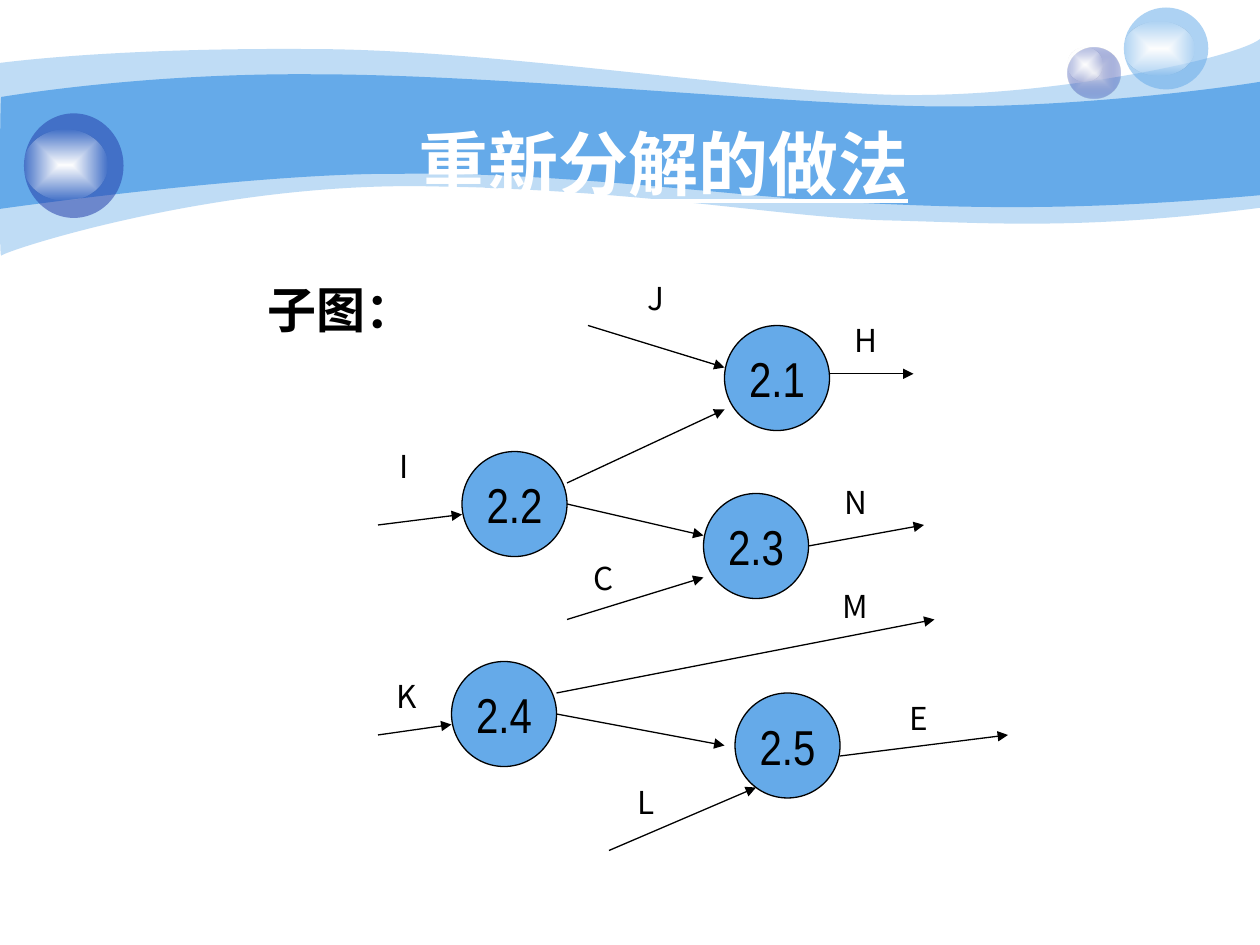
from lxml import etree
from pptx import Presentation
from pptx.dml.color import RGBColor
from pptx.enum import shapes, text
from pptx.oxml import parse_xml
from pptx.oxml.ns import qn
from pptx.util import Emu, Inches, Pt

COLORS = {"sky": "65AAE9", "navy": "233DA9", "mist": "E1E2ED", "white": "FFFFFF", "black": "000000"}
NS = 'xmlns:a="http://schemas.openxmlformats.org/drawingml/2006/main"'
CJK = "Noto Sans CJK SC"

prs = Presentation()
prs.slide_width, prs.slide_height = Inches(10), Inches(7.5)
unit = prs.slide_width / 120
s = prs.slides.add_slide(prs.slide_layouts[5])


def grid(*values):
    return [Emu(round(v * unit)) for v in values]


def write(sp, words, size, font, color="black", bold=None, underline=None):
    tf = sp.text_frame
    tf.margin_left = tf.margin_right = Inches(0.1)
    tf.margin_top = tf.margin_bottom = Inches(0.05)
    tf.text = words
    p = tf.paragraphs[0]
    p.alignment = text.PP_ALIGN.CENTER
    p.space_before = Pt(0)
    p.font.size, p.font.name = Pt(size), font
    p.font.bold, p.font.underline = bold, underline
    p.font.color.rgb = RGBColor.from_string(COLORS[color])
    etree.SubElement(p._p.pPr.find(qn("a:defRPr")), qn("a:ea"), typeface=CJK)


waves = [
    (41, (0, 50), [
        [(24, 47), (107, 38), (247, 39)],
        [(386, 39), (575, 70), (699, 75)],
        [(822, 80), (980, 47), (1000, 31)],
        [(1000, 165)],
        [(858, 183), (787, 177), (705, 175)],
        [(622, 173), (515, 151), (343, 148)],
        [(172, 144), (4, 199), (1, 203)],
        [(-1, 208), (0, 75), (0, 50)]]),
    (100, (1, 77), [
        [(2, 77), (110, 58), (248, 59)],
        [(386, 59), (595, 80), (718, 84)],
        [(841, 88), (976, 69), (1000, 65)],
        [(1000, 155)],
        [(853, 168), (765, 165), (682, 161)],
        [(599, 158), (447, 136), (317, 138)],
        [(203, 137), (-2, 166), (-1, 166)],
        [(0, 166), (0, 77), (1, 77)]]),
]
for alpha, start, segments in waves:
    builder = s.shapes.build_freeform(*start, scale=prs.slide_width / 1000)
    builder.add_line_segments([point for seg in segments for point in seg], close=True)
    sp = builder.convert_to_shape()
    steps = iter(list(sp._element.iter(qn("a:lnTo"))))
    for seg in segments:
        parts = [next(steps) for _ in seg]
        if len(seg) == 3:
            curve = etree.Element(qn("a:cubicBezTo"))
            parts[0].addprevious(curve)
            for part in parts:
                curve.append(part[0])
                part.getparent().remove(part)
    sp.shadow.inherit = False
    sp.line.fill.background()
    sp.fill.solid()
    sp.fill.fore_color.rgb = RGBColor.from_string(COLORS["sky"])
    if alpha < 100:
        tint = sp._element.spPr.find(qn("a:solidFill"))[0]
        etree.SubElement(tint, qn("a:alpha"), val=str(alpha * 1000))

bubbles = [
    (8.47, 0.38, 0.42, 0.4, [("mist", 100), ("navy", 31)]),
    (8.47, 0.38, 0.28, 0.27, [("white", 100), ("white", 0)]),
    (8.92, 0.06, 0.67, 0.65, [("sky", 53)]),
    (8.92, 0.17, 0.56, 0.43, [("white", 100), ("white", 0)]),
    (0.19, 0.9, 0.79, 0.83, [("navy", 53)]),
    (0.19, 1.03, 0.66, 0.56, [("white", 100), ("white", 0)]),
]
for *box, stops in bubbles:
    sp = s.shapes.add_shape(shapes.MSO_SHAPE.OVAL, *[Inches(v) for v in box])
    sp.shadow.inherit = False
    sp.line.fill.background()
    tints = [f'<a:srgbClr val="{COLORS[c]}"><a:alpha val="{a * 1000}"/></a:srgbClr>' for c, a in stops]
    if len(tints) == 1:
        fill = f"<a:solidFill {NS}>{tints[0]}</a:solidFill>"
    else:
        fill = (f'<a:gradFill {NS} rotWithShape="1"><a:gsLst><a:gs pos="0">{tints[0]}</a:gs>'
                f'<a:gs pos="100000">{tints[1]}</a:gs></a:gsLst><a:path path="shape">'
                '<a:fillToRect l="50000" t="50000" r="50000" b="50000"/></a:path></a:gradFill>')
    sp._element.spPr.find(qn("a:prstGeom")).addnext(parse_xml(fill))

title = s.shapes.title
s.shapes._spTree.append(title._element)
title.left, title.top, title.width, title.height = grid(15.8, 8, 94.8, 15)
title.text_frame.vertical_anchor = text.MSO_ANCHOR.MIDDLE
write(title, "重新分解的做法", 40, "Arial", "white", bold=True, underline=True)

heading = s.shapes.add_textbox(*grid(23, 26, 19, 6.84))
heading.text_frame.word_wrap = True
write(heading, "子图：", 28, "Arial Narrow", bold=True)

processes = [("2.2", 44, 43), ("2.3", 67, 47), ("2.1", 69, 31), ("2.4", 43, 63), ("2.5", 70, 66)]
for name, col, row in processes:
    sp = s.shapes.add_shape(shapes.MSO_SHAPE.FLOWCHART_CONNECTOR, *grid(col, row, 10, 10))
    sp.shadow.inherit = False
    sp.fill.solid()
    sp.fill.fore_color.rgb = RGBColor.from_string(COLORS["sky"])
    sp.line.color.rgb = RGBColor.from_string(COLORS["black"])
    sp.line.width = Pt(0.75)
    sp.text_frame.word_wrap = False
    sp.text_frame.vertical_anchor = text.MSO_ANCHOR.MIDDLE
    write(sp, name, 28, "Arial Narrow")

flows = [
    (36, 50, 44, 49), (36, 70, 43, 69), (54, 46, 69, 39), (56, 31, 69, 35),
    (54, 48, 67, 51), (54, 59, 67, 55), (58, 81, 72, 75), (53, 68, 69, 71),
    (53, 66, 89, 59), (80, 72, 96, 70), (77, 52, 88, 50), (79, 35.6, 87, 35.6),
]
for ends in flows:
    arrow = s.shapes.add_connector(shapes.MSO_CONNECTOR.STRAIGHT, *grid(*ends))
    arrow.line.color.rgb = RGBColor.from_string(COLORS["black"])
    arrow.line.width = Pt(0.75)
    spPr = arrow._element.spPr
    etree.SubElement(spPr.find(qn("a:ln")), qn("a:tailEnd"), type="triangle")
    etree.SubElement(spPr, qn("a:effectLst"))

labels = [
    ("I", 36, 42), ("J", 60, 26), ("K", 36.2, 63.85), ("C", 55, 52.65), ("M", 79, 55.3),
    ("L", 59, 74), ("E", 85, 66), ("H", 80, 30), ("N", 79, 45.4),
]
for name, col, row in labels:
    sp = s.shapes.add_textbox(*grid(col, row, 5, 6))
    sp.text_frame.word_wrap = True
    write(sp, name, 18, CJK)

prs.save("out.pptx")
